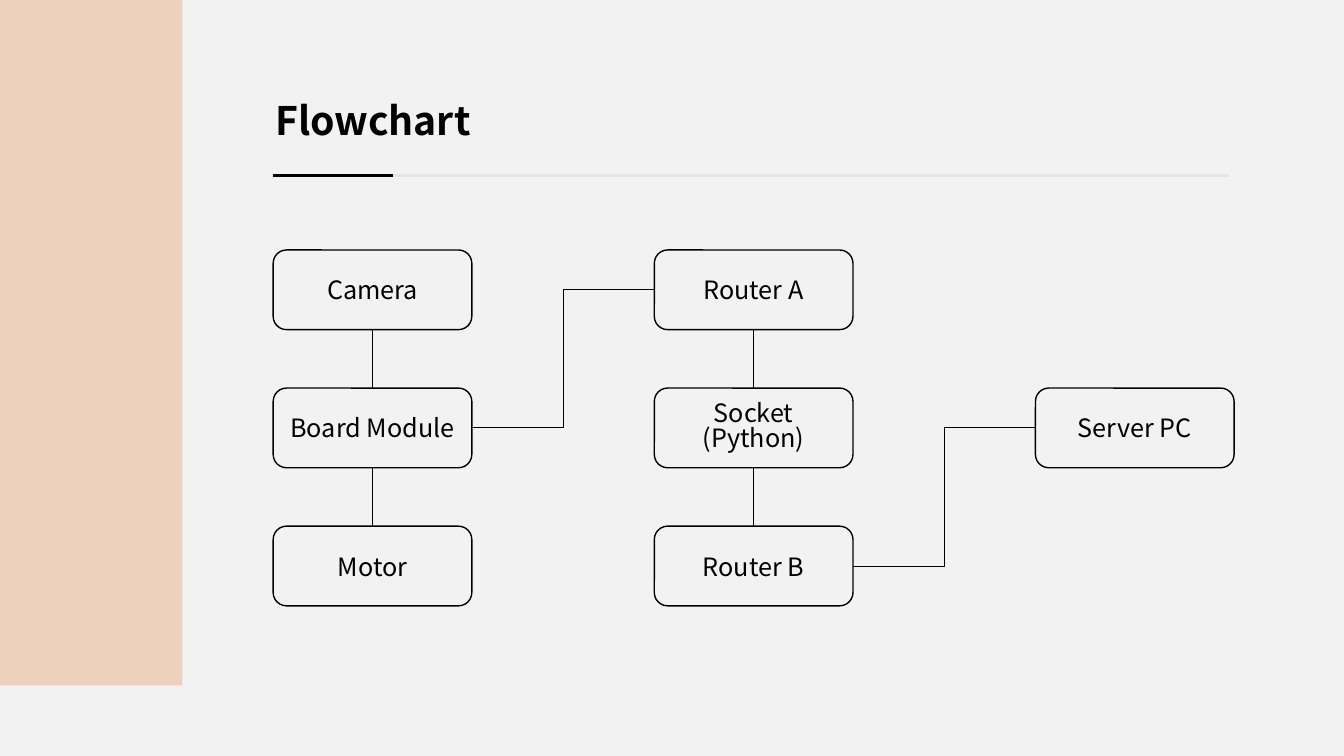
import pptx
import pptx.util
import pptx.dml.color
import pptx.enum.shapes
import pptx.enum.text
import pptx.oxml
from dataclasses import dataclass

PX = 9144  # EMU per px, 100 px to the inch
Shape = pptx.enum.shapes.MSO_SHAPE
Link = pptx.enum.shapes.MSO_CONNECTOR
Align = pptx.enum.text.PP_ALIGN
Anchor = pptx.enum.text.MSO_ANCHOR
Fit = pptx.enum.text.MSO_AUTO_SIZE

TOP, LEFT, BOTTOM, RIGHT = range(4)  # connection sites of a box


@dataclass(frozen=True)
class Theme:
    font: str = "Noto Sans CJK KR"
    back: str = "F2F2F2"
    band: str = "EDD0BE"
    ink: str = "000000"
    pale: str = "E5E5E5"
    head: int = 28
    body: int = 18


def rgb(code):
    return pptx.dml.color.RGBColor.from_string(code)


def write(frame, text, *, theme, size, bold=False, align=Align.LEFT,
          anchor=Anchor.TOP, gap=1.0):
    """Fill a text frame, one paragraph for each line of text."""
    frame.word_wrap = True
    frame.vertical_anchor = anchor
    frame.text = text
    for para in frame.paragraphs:
        para.alignment = align
        para.line_spacing = gap
        font = para.runs[0].font
        font.name = theme.font
        font.size = pptx.util.Pt(size)
        font.bold = bold
        font.color.rgb = rgb(theme.ink)


class Deck:
    def __init__(self, theme):
        self.theme = theme
        self.show = pptx.Presentation()
        self.show.slide_width = 1333 * PX
        self.show.slide_height = 750 * PX
        self.slide = self.show.slides.add_slide(self.show.slide_layouts[5])
        fill = self.slide.background.fill
        fill.solid()
        fill.fore_color.rgb = rgb(theme.back)

    def title(self, text, x, y, w, h):
        title = self.slide.shapes.title
        title.left, title.top = x * PX, y * PX
        title.width, title.height = w * PX, h * PX
        write(title.text_frame, text, theme=self.theme,
              size=self.theme.head, bold=True, gap=1.5)
        title.text_frame.auto_size = Fit.SHAPE_TO_FIT_TEXT

    def band(self, x, y, w, h):
        band = self.slide.shapes.add_shape(
            Shape.RECTANGLE, x * PX, y * PX, w * PX, h * PX)
        band.shadow.inherit = False
        band.fill.solid()
        band.fill.fore_color.rgb = rgb(self.theme.band)
        band.line.fill.background()

    def box(self, text, x, y, w, h):
        box = self.slide.shapes.add_shape(
            Shape.ROUNDED_RECTANGLE, x * PX, y * PX, w * PX, h * PX)
        box.shadow.inherit = False
        box.fill.background()
        box.line.color.rgb = rgb(self.theme.ink)
        box.line.width = pptx.util.Pt(1)
        write(box.text_frame, text, theme=self.theme, size=self.theme.body,
              align=Align.CENTER, anchor=Anchor.MIDDLE,
              gap=0.82 if "\n" in text else 1.0)
        return box

    def line(self, x1, y1, x2, y2, color, width, kind=Link.STRAIGHT):
        line = self.slide.shapes.add_connector(
            kind, x1 * PX, y1 * PX, x2 * PX, y2 * PX)
        line.line.color.rgb = rgb(color)
        line.line.width = pptx.util.Pt(width)
        props = line._element.spPr
        props.append(pptx.oxml.parse_xml(
            '<a:effectLst xmlns:a="http://schemas.openxmlformats.org/'
            'drawingml/2006/main"/>'))
        return line

    def join(self, start, out, end, into, kind):
        """Glue a thin connector to one site of each box."""
        line = self.line(0, 0, 0, 0, self.theme.ink, 0.5, kind)
        line.begin_connect(start, out)
        line.end_connect(end, into)


def main():
    theme = Theme()
    deck = Deck(theme)
    deck.band(0, -2, 181, 682)
    deck.title("Flowchart", 263, 67, 476, 74)
    deck.line(270, 174, 1219, 174, theme.pale, 2)
    deck.line(271, 174, 390, 174, theme.ink, 2)

    grid = [
        ["Camera", "Board Module", "Motor"],
        ["Router A", "Socket\n(Python)", "Router B"],
        [None, "Server PC", None],
    ]
    boxes = {}
    for col, names in enumerate(grid):
        for row, name in enumerate(names):
            if name:
                boxes[col, row] = deck.box(
                    name, 271 + 378 * col, 248 + 137 * row, 197, 79)

    for col, row in boxes:
        if (col, row + 1) in boxes:
            deck.join(boxes[col, row], BOTTOM, boxes[col, row + 1], TOP,
                      Link.STRAIGHT)
    for start, end in [((0, 1), (1, 0)), ((1, 2), (2, 1))]:
        deck.join(boxes[start], RIGHT, boxes[end], LEFT, Link.ELBOW)

    deck.show.save("out.pptx")


if __name__ == "__main__":
    main()
